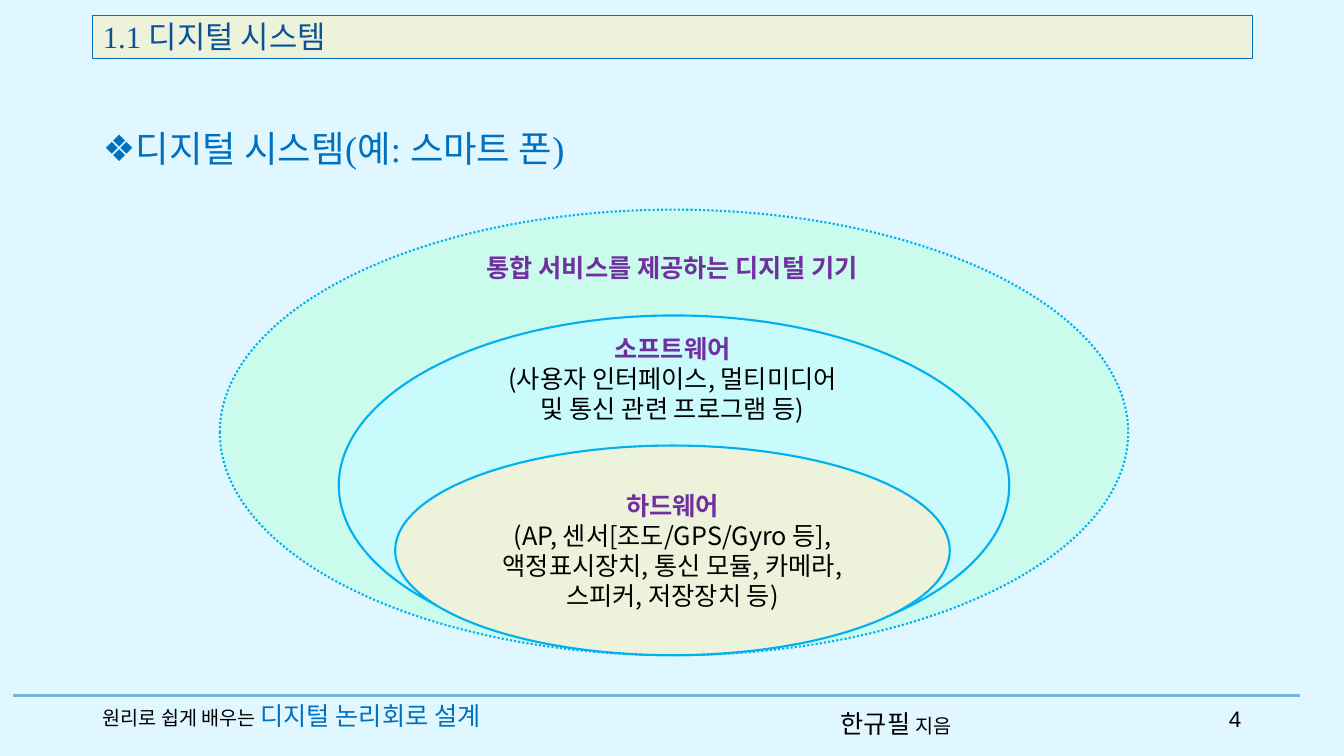
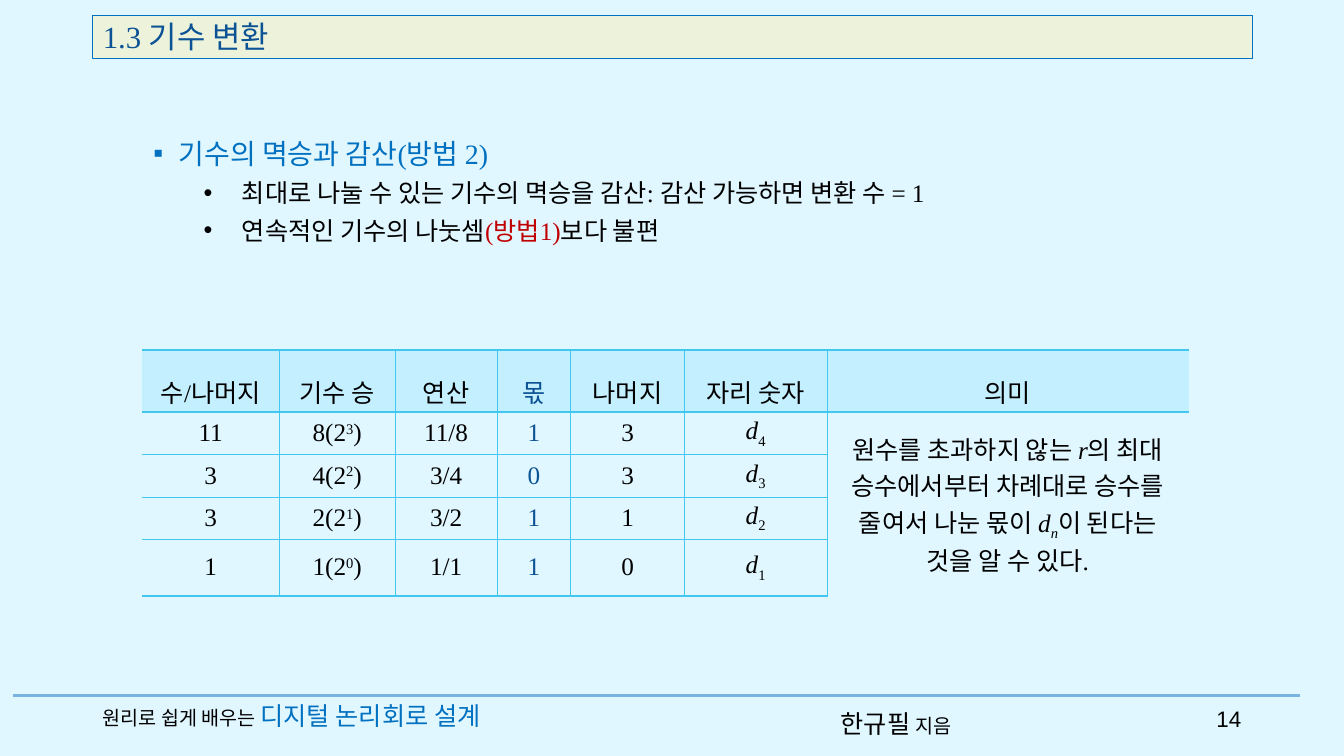
from lxml import etree
from pptx import Presentation
from pptx import util as u
from pptx.dml.color import RGBColor
from pptx.enum import dml, shapes, text
from pptx.oxml.ns import qn

PX = 9144
SKY = RGBColor(0xE1, 0xF7, 0xFF)
RULE = RGBColor(0x78, 0xB3, 0xE2)
CREAM = RGBColor(0xED, 0xF3, 0xDB)
MINT = RGBColor(0xCA, 0xFB, 0xED)
AQUA = RGBColor(0xC9, 0xFA, 0xFC)
HEAD = RGBColor(0xC4, 0xEF, 0xFF)
GRID = RGBColor(0x42, 0xC7, 0xF1)
EDGE = RGBColor(0x00, 0xB0, 0xF0)
BLUE = RGBColor(0x00, 0x70, 0xC0)
NAVY = RGBColor(0x0B, 0x53, 0x94)
PURPLE = RGBColor(0x70, 0x30, 0xA0)
RED = RGBColor(0xC0, 0x00, 0x00)
BLACK = RGBColor(0, 0, 0)
TIMES, NOTO, ARIAL = "Times New Roman", "Noto Sans CJK KR", "Arial"
LEFT, MID, RIGHT = text.PP_ALIGN.LEFT, text.PP_ALIGN.CENTER, text.PP_ALIGN.RIGHT


def px(*nums):
    """Turn px lengths into EMU."""
    return [u.Emu(n * PX) for n in nums]


def place(shape, box):
    """Move a shape to a box."""
    shape.left, shape.top, shape.width, shape.height = px(*box)


def style(run, size, font, color, bold=False, slant=False, base=0):
    """Format one run."""
    face = run.font
    face.size, face.name, face.bold, face.italic = u.Pt(size), font, bold, slant
    face.color.rgb = color
    props = run._r.get_or_add_rPr()
    if base:
        props.set("baseline", str(base * 1000))
    east = etree.Element(qn("a:ea"), typeface=NOTO)
    props.find(qn("a:latin")).addnext(east)


def bullet(par, mark, left, hang):
    """Give a paragraph a bullet and a hanging indent."""
    props = par._p.get_or_add_pPr()
    props.set("marL", str(left * PX))
    props.set("indent", str(-hang * PX))
    etree.SubElement(props, qn("a:buFont"), typeface=ARIAL)
    etree.SubElement(props, qn("a:buChar"), char=mark)


def say(par, words, align=LEFT, gap=0, lead=None, mark=None, level=0, **look):
    """Write a string, or (string, format) runs, into a paragraph."""
    par.alignment, par.level = align, level
    par.space_before = u.Pt(gap)
    par.line_spacing = lead
    if mark:
        bullet(par, *mark)
    runs = [(words, {})] if isinstance(words, str) else words
    for piece, own in runs:
        for i, line in enumerate(piece.split("\n")):
            if i:
                par.add_line_break()
            run = par.add_run()
            run.text = line
            style(run, **{**look, **own})


def fill(frame, items, wrap=True, anchor=text.MSO_ANCHOR.TOP):
    """Fill a text frame with (words, format) paragraphs."""
    frame.word_wrap = wrap
    frame.auto_size = text.MSO_AUTO_SIZE.NONE
    frame.vertical_anchor = anchor
    for i, (words, look) in enumerate(items):
        par = frame.add_paragraph() if i else frame.paragraphs[0]
        say(par, words, **look)


def label(owner, box, *items):
    """Add a text box."""
    fill(owner.add_textbox(*px(*box)).text_frame, items)


def footer(slide, box, num):
    """Draw the rule, book name, author and page number."""
    x, y, w, h = box
    line = slide.shapes.add_connector(
        shapes.MSO_CONNECTOR.STRAIGHT, *px(x, y, x + w, y))
    line.line.color.rgb, line.line.width = RULE, u.Pt(2.5)
    etree.SubElement(line._element.spPr, qn("a:effectLst"))
    base = dict(color=BLACK, lead=u.Pt(21.5))
    label(slide.shapes, (x + 79, y, 463, h),
          ([("원리로 쉽게 배우는 ", {}),
            ("디지털 논리회로 설계", dict(size=18, color=BLUE))],
           dict(base, size=14, font=TIMES)))
    label(slide.shapes, (x + 811, y + 8, 153, h),
          ([("한규필 ", {}), ("지음", dict(size=14))],
           dict(base, size=18, font=NOTO)))
    label(slide.shapes, (x + 1166, y + 5, 62, h),
          (num, dict(size=16, font=ARIAL, color=BLACK, align=RIGHT)))


def start(deck, title, num):
    """Add a slide with its title band and footer."""
    slide = deck.slides.add_slide(deck.slide_layouts[1])
    head = slide.shapes.title
    place(head, (92, 15, 1150, 43))
    head.fill.solid()
    head.fill.fore_color.rgb = CREAM
    head.line.color.rgb, head.line.width = BLUE, u.Pt(0.75)
    frame = head.text_frame
    frame.margin_top = frame.margin_bottom = 0
    fill(frame, [(title, dict(size=22, font=TIMES, color=NAVY, lead=u.Pt(26)))],
         anchor=text.MSO_ANCHOR.MIDDLE)
    footer(slide, (13, 690, 1276, 40), num)
    return slide


def points(slide, box, items):
    """Fill the body placeholder with a list."""
    body = slide.placeholders[1]
    place(body, box)
    fill(body.text_frame, items)


def oval(group, box, color, dash=None):
    """Add one ring of the system diagram."""
    ring = group.add_shape(shapes.MSO_SHAPE.OVAL, *px(*box))
    ring.shadow.inherit = False
    ring.fill.solid()
    ring.fill.fore_color.rgb = color
    ring.line.color.rgb, ring.line.width = EDGE, u.Pt(1.5)
    if dash:
        ring.line.dash_style = dash
    return ring


def rings(slide, box):
    """Draw the nested device, software and hardware ovals."""
    x, y, w, h = box
    group = slide.shapes.add_group_shape().shapes
    look = dict(size=18, font=NOTO, align=MID, lead=u.Pt(21.5))
    name = dict(look, color=PURPLE, bold=True)
    note = dict(look, color=BLACK)
    oval(group, box, MINT, dml.MSO_LINE.ROUND_DOT)
    oval(group, (x + 118, y + h - 337, 665, 337), AQUA)
    core = oval(group, (x + 174, y + h - 208, 550, 208), CREAM)
    fill(core.text_frame, [
        ("하드웨어", name),
        ("(AP, 센서[조도/GPS/Gyro 등],\n액정표시장치, 통신 모듈, 카메라,\n"
         "스피커, 저장장치 등)", note)],
        wrap=False, anchor=text.MSO_ANCHOR.MIDDLE)
    label(group, (x + 259, y + 118, 380, 116), ("소프트웨어", name),
          ("(사용자 인터페이스, 멀티미디어\n및 통신 관련 프로그램 등)", note))
    label(group, (x + 231, y + 38, 435, 46),
          ("통합 서비스를 제공하는 디지털 기기", name))


def edge(cell, side, width):
    """Set one border of a cell; zero width hides it."""
    props = cell._tc.get_or_add_tcPr()
    line = etree.SubElement(props, qn("a:ln" + side), w=str(int(width * 12700)))
    if width:
        paint = etree.SubElement(line, qn("a:solidFill"))
        etree.SubElement(paint, qn("a:srgbClr"), val=str(GRID))
    else:
        etree.SubElement(line, qn("a:noFill"))


def borders(cell, row, col, rows, cols):
    """Rule a cell: heavy round header and foot, thin inside."""
    thin, bold = 0.28, 1.7
    inner = 0 if col == cols - 1 else thin
    edge(cell, "L", thin if col else 0)
    edge(cell, "R", inner)
    edge(cell, "T", bold if row < 2 else inner)
    edge(cell, "B", bold if row in (0, rows - 1) else inner)


def grid(slide, box, data, wide, tall):
    """Add the table, with its last column merged below the header."""
    rows, cols = len(tall), len(wide)
    table = slide.shapes.add_table(rows, cols, *px(*box)).table
    table.first_row = table.horz_banding = False
    for col, size in zip(table.columns, wide):
        col.width = px(size)[0]
    for row, size in zip(table.rows, tall):
        row.height = px(size)[0]
    table.cell(1, cols - 1).merge(table.cell(rows - 1, cols - 1))
    for r in range(rows):
        for c in range(cols):
            cell = table.cell(r, c)
            borders(cell, r, c, rows, cols)
            cell.vertical_anchor = text.MSO_ANCHOR.MIDDLE
            cell.margin_left, cell.margin_right = px(7, 7)
            cell.margin_top, cell.margin_bottom = px(2, 2)
            if r:
                cell.fill.background()
            else:
                cell.fill.solid()
                cell.fill.fore_color.rgb = HEAD
            if c < len(data[r]):
                say(cell.text_frame.paragraphs[0], data[r][c], align=MID,
                    size=18, font=TIMES if r and c < cols - 1 else NOTO,
                    color=NAVY if c == 3 else BLACK, lead=None if r else 1.6)


def steps():
    """Work out the rows that turn 11 into binary."""
    rest, rows = 11, []
    for power in range(3, -1, -1):
        unit = 2 ** power
        bit, left = divmod(rest, unit)
        rows.append([
            str(rest),
            [(f"{unit}(2", {}), (str(power), dict(base=30)), (")", {})],
            f"{rest}/{unit}", str(bit), str(left),
            [("d", dict(slant=True)), (str(power + 1), dict(base=-25))]])
        rest = left
    return rows


def system(deck):
    """Build the digital system slide."""
    slide = start(deck, "1.1 디지털 시스템", "4")
    points(slide, (92, 125, 1150, 67), [
        ("디지털 시스템(예: 스마트 폰)",
         dict(size=26, font=TIMES, color=BLUE, gap=10, lead=u.Pt(28),
              mark=("❖", 25, 25)))])
    rings(slide, (218, 208, 901, 442))


def radix(deck):
    """Build the radix conversion slide."""
    slide = start(deck, "1.3 기수 변환", "14")
    look = dict(font=TIMES, gap=5)
    sub = dict(look, size=18, color=BLACK, level=2, lead=u.Pt(22),
               mark=("•", 138, 38))
    points(slide, (92, 130, 1150, 145), [
        ("기수의 멱승과 감산(방법 2)",
         dict(look, size=20, color=BLUE, level=1, lead=u.Pt(24),
              mark=("▪", 75, 25))),
        ("최대로 나눌 수 있는 기수의 멱승을 감산: 감산 가능하면 변환 수 = 1", sub),
        ([("연속적인 기수의 나눗셈", {}), ("(방법1)", dict(color=RED)),
          ("보다 불편", {})], sub)])
    roman = dict(font=TIMES)
    slant = dict(font=TIMES, slant=True)
    data = [[[("수", {}), ("/", roman), ("나머지", {})], "기수 승", "연산", "몫",
             "나머지", "자리 숫자", "의미"]] + steps()
    data[1].append([
        ("원수를 초과하지 않는 ", {}), ("r", slant),
        ("의 최대 승수에서부터 차례대로 승수를 줄여서 나눈 몫이 ", {}),
        ("d", slant), ("n", dict(slant, base=-25)),
        ("이 된다는 것을 알 수 있다", {}), (".", roman)])
    grid(slide, (141, 347, 1038, 244), data,
         (136, 115, 101, 73, 113, 141, 359), (62, 42, 42, 42, 56))


def main():
    """Build and save the deck."""
    deck = Presentation()
    deck.slide_width, deck.slide_height = px(1333, 750)
    back = deck.slide_master.background.fill
    back.solid()
    back.fore_color.rgb = SKY
    system(deck)
    radix(deck)
    deck.save("out.pptx")


if __name__ == "__main__":
    main()
